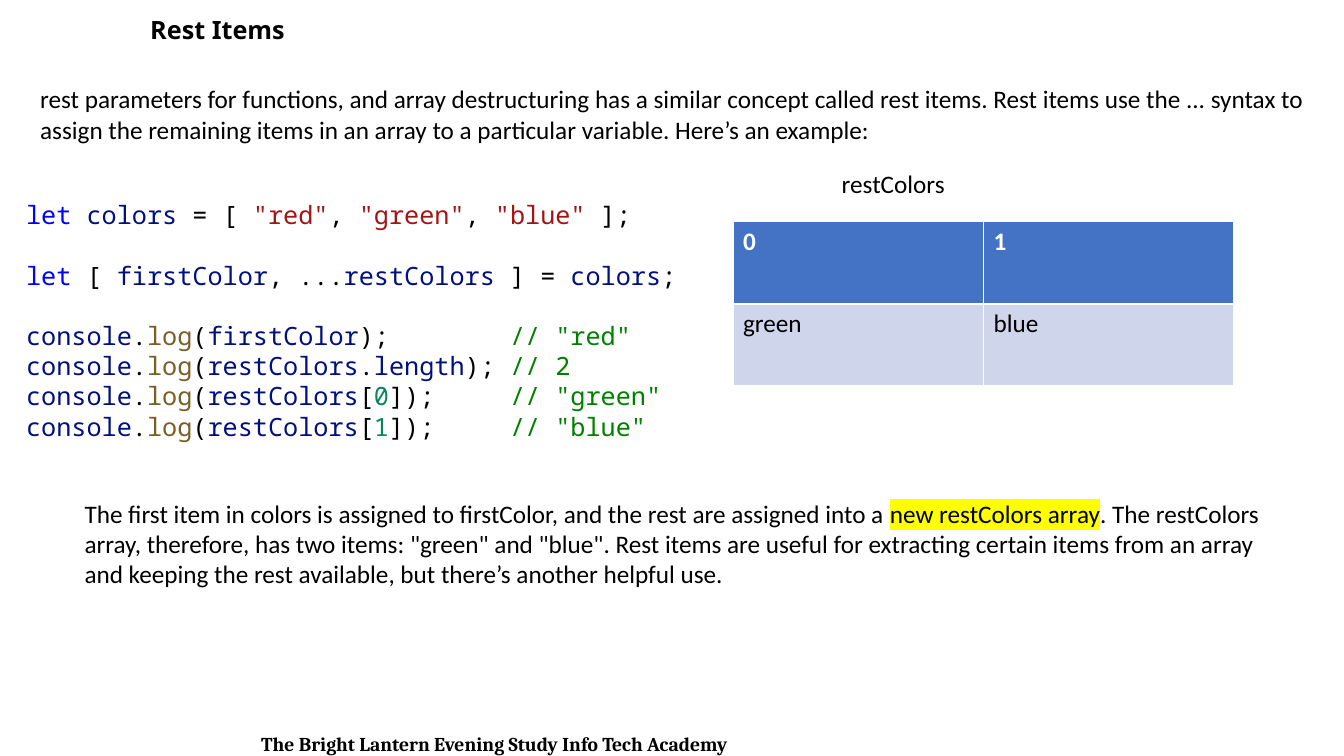
from dataclasses import dataclass

from lxml import etree
from pptx import Presentation
from pptx import util as u
from pptx.dml.color import RGBColor
from pptx.enum import text
from pptx.oxml.ns import qn

# Content: every run is (colour role, text)
TITLE = "Rest Items"
INTRO = [("text", "rest parameters for functions, and array destructuring has a similar concept "
          "called rest items. Rest items use the ... syntax to assign the remaining items in an "
          "array to a particular variable. Here’s an example:")]
SUMMARY = [
    ("text", "The first item in colors is assigned to firstColor, and the rest are assigned into a "),
    ("marked", "new restColors array"),
    ("text", ". The restColors array, therefore, has two items: \"green\" and \"blue\". Rest items "
     "are useful for extracting certain items from an array and keeping the rest available, "
     "but there’s another helpful use."),
]
DECLARATIONS = [
    [("keyword", "let "), ("name", "colors"), ("text", " = [ "), ("string", '"red"'),
     ("text", ", "), ("string", '"green"'), ("text", ", "), ("string", '"blue"'), ("text", " ];")],
    [("keyword", "let"), ("text", " [ "), ("name", "firstColor"), ("text", ", ..."),
     ("name", "restColors"), ("text", " ] = "), ("name", "colors"), ("text", ";")],
]
LOGS = [
    ([("name", "firstColor")], '// "red"'),
    ([("name", "restColors"), ("text", "."), ("name", "length")], "// 2"),
    ([("name", "restColors"), ("text", "["), ("number", "0"), ("text", "]")], '// "green"'),
    ([("name", "restColors"), ("text", "["), ("number", "1"), ("text", "]")], '// "blue"'),
]
COMMENT_COLUMN = 32
GAP_BEFORE = {1, 2}  # code lines that follow an empty line
ARRAY_NAME = [("text", "restColors")]
ARRAY = [("0", "1"), ("green", "blue")]
FOOTER = [("text", "The Bright Lantern Evening Study Info Tech Academy")]

# Left, top, width, height in inches
SLIDE = (13.33, 7.5)
BOXES = {
    "title": (1.39, 0.09, 6.71, 0.4),
    "intro": (0.3, 0.78, 12.9, 0.71),
    "code": (0.16, 1.93, 6.71, 2.52),
    "summary": (0.74, 4.89, 12.03, 1.01),
    "array name": (8.25, 1.62, 2.01, 0.4),
    "array": (7.27, 2.2, 4.97, 1.63),
    "footer": (0.25, 7.21, 9.31, 0.34),
}


@dataclass(frozen=True)
class Theme:
    body: str = "Calibri"
    heading: str = "Noto Sans"
    code: str = "Noto Sans Mono"
    footer: str = "Cambria"
    size: int = 18
    footer_size: int = 14
    code_gap: float = 21.5
    text: str = "000000"
    marked: str = "000000"
    keyword: str = "0000FF"
    name: str = "001080"
    string: str = "A31515"
    method: str = "795E26"
    number: str = "098658"
    comment: str = "008000"
    highlight: str = "FFFF00"
    header_fill: str = "4472C4"
    header_text: str = "FFFFFF"
    cell_fill: str = "CFD5EA"


THEME = Theme()


def box(name):
    return [u.Inches(v) for v in BOXES[name]]


def style(p, font, size=THEME.size, color=THEME.text, bold=False):
    p.font.name, p.font.size, p.font.bold = font, u.Pt(size), bold
    p.font.color.rgb = RGBColor.from_string(color)


def highlight(r):
    mark = etree.SubElement(r.font._element, qn("a:highlight"))
    etree.SubElement(mark, qn("a:srgbClr"), val=THEME.highlight)


def add_runs(p, runs):
    for role, words in runs:
        r = p.add_run()
        r.text = words
        color = getattr(THEME, role)
        if color != THEME.text:
            r.font.color.rgb = RGBColor.from_string(color)
        if role == "marked":
            highlight(r)


def add_text(s, name, lines, font=THEME.body, size=THEME.size, bold=False):
    tf = s.shapes.add_textbox(*box(name)).text_frame
    tf.word_wrap = True
    for i, runs in enumerate(lines):
        p = tf.add_paragraph() if i else tf.paragraphs[0]
        style(p, font, size, bold=bold)
        add_runs(p, runs)
    return tf


def log_line(argument, comment):
    """Return a console.log call with its comment set in the comment column."""
    call = [("name", "console"), ("text", "."), ("method", "log"), ("text", "("), *argument]
    used = sum(len(words) for _, words in call)
    return call + [("text", ");".ljust(COMMENT_COLUMN - used)), ("comment", comment)]


def add_title(s):
    title = s.shapes.title
    title.left, title.top, title.width, title.height = box("title")
    tf = title.text_frame
    tf.text = TITLE
    tf.word_wrap = True
    tf.auto_size = text.MSO_AUTO_SIZE.NONE
    tf.vertical_anchor = text.MSO_ANCHOR.TOP
    p = tf.paragraphs[0]
    p.alignment = text.PP_ALIGN.LEFT
    style(p, THEME.heading, bold=True)


def add_code(s):
    lines = DECLARATIONS + [log_line(*log) for log in LOGS]
    tf = add_text(s, "code", lines, THEME.code)
    for i in GAP_BEFORE:
        tf.paragraphs[i].space_before = u.Pt(THEME.code_gap)


def add_array(s):
    table = s.shapes.add_table(len(ARRAY), len(ARRAY[0]), *box("array")).table
    for i, row in enumerate(ARRAY):
        header = i == 0
        for j, value in enumerate(row):
            cell = table.cell(i, j)
            cell.text = value
            cell.fill.solid()
            cell.fill.fore_color.rgb = RGBColor.from_string(
                THEME.header_fill if header else THEME.cell_fill)
            style(cell.text_frame.paragraphs[0], THEME.body, bold=header,
                  color=THEME.header_text if header else THEME.text)


def main():
    prs = Presentation()
    prs.slide_width, prs.slide_height = (u.Inches(v) for v in SLIDE)
    s = prs.slides.add_slide(prs.slide_layouts[5])
    add_title(s)
    add_text(s, "intro", [INTRO])
    add_code(s)
    add_text(s, "summary", [SUMMARY])
    add_array(s)
    add_text(s, "array name", [ARRAY_NAME])
    footer = add_text(s, "footer", [FOOTER], THEME.footer, THEME.footer_size, bold=True)
    footer.paragraphs[0].alignment = text.PP_ALIGN.CENTER
    prs.save("out.pptx")


if __name__ == "__main__":
    main()
